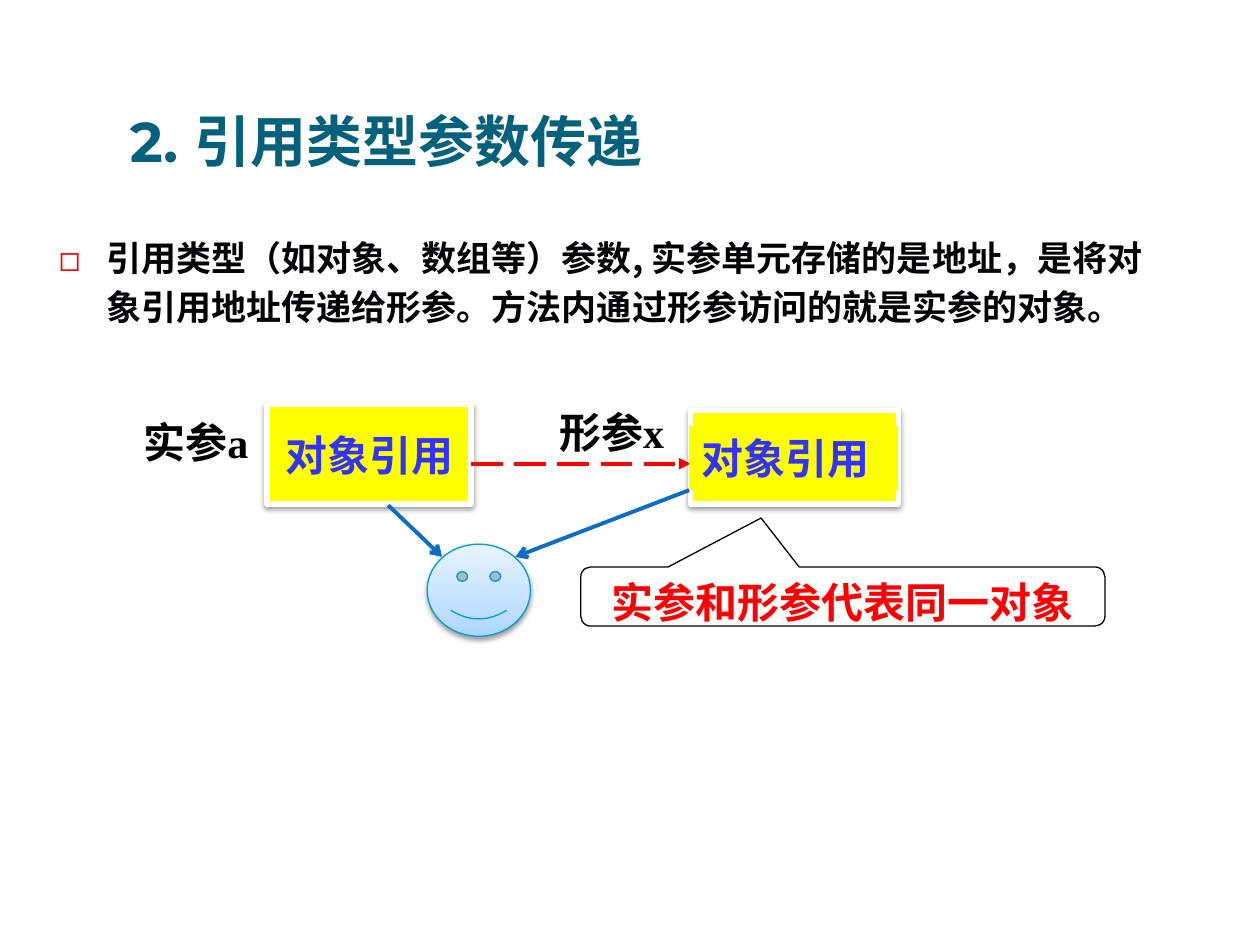
from copy import deepcopy

from lxml import etree
from pptx import Presentation
from pptx.dml.color import RGBColor
from pptx.enum.dml import MSO_LINE
from pptx.enum.shapes import MSO_CONNECTOR, MSO_SHAPE
from pptx.enum.text import MSO_ANCHOR, PP_ALIGN
from pptx.oxml.ns import qn
from pptx.util import Pt

RECT = MSO_SHAPE.RECTANGLE
CALLOUT = MSO_SHAPE.ROUNDED_RECTANGULAR_CALLOUT
SMILEY = MSO_SHAPE.SMILEY_FACE
STRAIGHT = MSO_CONNECTOR.STRAIGHT
LONG_DASH = MSO_LINE.LONG_DASH
TOP, MIDDLE, BOTTOM = MSO_ANCHOR.TOP, MSO_ANCHOR.MIDDLE, MSO_ANCHOR.BOTTOM
LEFT, CENTER = PP_ALIGN.LEFT, PP_ALIGN.CENTER
CJK = "Noto Sans CJK SC"
SERIF = "Times New Roman"
YELLOW, BLUE, RED, BLACK = "FFFF00", "3333FF", "FF0000", "000000"


def rgb(color):
    return RGBColor.from_string(color)


def sub(parent, tag, **attrs):
    return etree.SubElement(parent, qn(tag), attrs)


def write(s, text, color, size=24, font=SERIF, align=LEFT, anchor=TOP, wrap=True):
    tf = s.text_frame
    tf.word_wrap = wrap
    tf.vertical_anchor = anchor
    p = tf.paragraphs[0]
    p.text = text
    p.alignment = align
    p.font.name = font
    p.font.size = Pt(size)
    p.font.bold = True
    p.font.color.rgb = rgb(color)
    sub(p.font._element, "a:ea", typeface=CJK)
    return tf


def add_text(slide, box, text, color, **style):
    s = slide.shapes.add_textbox(*map(Pt, box))
    return write(s, text, color, **style)


def add_bullet(p, char, color, indent):
    pPr = p._p.get_or_add_pPr()
    pPr.set("marL", str(Pt(indent)))
    pPr.set("indent", str(-Pt(indent)))
    sub(sub(pPr, "a:buClr"), "a:srgbClr", val=color)
    sub(pPr, "a:buFont", typeface=CJK)
    sub(pPr, "a:buChar", char=char)


def add_body(slide, box, text):
    tf = slide.shapes.add_textbox(*map(Pt, box)).text_frame
    p = tf.paragraphs[0]
    p.line_spacing = Pt(28)
    add_bullet(p, "◻", RED, 27)
    write(tf._parent, text, "030305", size=20, font=CJK)


def add_shape(slide, kind, box, fill=None, line=None, width=0.75, shadow=False):
    s = slide.shapes.add_shape(kind, *map(Pt, box))
    s.shadow.inherit = False
    if fill:
        s.fill.solid()
        s.fill.fore_color.rgb = rgb(fill)
    else:
        s.fill.background()
    if line:
        s.line.color.rgb = rgb(line)
        s.line.width = Pt(width)
    else:
        s.line.fill.background()
    if shadow:
        effects = s._element.spPr.find(qn("a:effectLst"))
        outer = sub(effects, "a:outerShdw", blurRad=str(Pt(3.1)),
                    dist=str(Pt(1.6)), dir="5400000", rotWithShape="0")
        sub(sub(outer, "a:srgbClr", val=BLACK), "a:alpha", val="38000")
    return s


def fill_gradient(s, stops, angle):
    s.fill.gradient()
    s.fill.gradient_angle = angle
    gs_list = s._element.spPr.find(".//" + qn("a:gsLst"))
    while len(gs_list) < len(stops):
        gs_list.append(deepcopy(gs_list[-1]))
    for stop, (position, color) in zip(s.fill.gradient_stops, stops):
        stop.position = position
        stop.color.rgb = rgb(color)


def add_arrow(slide, start, end, color, head, dash=None):
    c = slide.shapes.add_connector(STRAIGHT, *map(Pt, start + end))
    c.line.color.rgb = rgb(color)
    c.line.width = Pt(2.25)
    if dash:
        c.line.dash_style = dash
    sub(c.line._get_or_add_ln(), "a:tailEnd", type=head)
    sub(c._element.spPr, "a:effectLst")


def main():
    prs = Presentation()
    prs.slide_width, prs.slide_height = Pt(720), Pt(540)
    slide = prs.slides.add_slide(prs.slide_layouts[6])

    tf = add_text(slide, (74.2, 54, 588, 45.4), "2. 引用类型参数传递", "04617B",
                  size=32, font="Montserrat", anchor=BOTTOM)
    tf.margin_left = tf.margin_right = tf.margin_bottom = 0
    add_body(slide, (26.6, 127.4, 636, 63.4),
             "引用类型（如对象、数组等）参数, 实参单元存储的是地址，是将"
             "对象引用地址传递给形参。方法内通过形参访问的就是实参的对象。")

    add_text(slide, (74.9, 234.7, 90.7, 36), "实参a", BLACK)
    s = add_shape(slide, RECT, (152.6, 231.1, 116.6, 56.9), YELLOW, "FFFFFF", 3, True)
    write(s, "对象引用", BLUE, font="Arial", align=CENTER, anchor=MIDDLE, wrap=False)

    add_text(slide, (312.5, 229, 90.7, 36), "形参x", BLACK)
    add_shape(slide, RECT, (394.6, 234.7, 118.8, 53.3), YELLOW, "FFFFFF", 3, True)
    add_arrow(slide, (269.3, 265), (394.6, 265), RED, "triangle", LONG_DASH)

    s = add_shape(slide, CALLOUT, (331.9, 324, 299.5, 33.8), line=BLACK)
    for i, value in enumerate((-0.156, -1.328, 0.167)):
        s.adjustments[i] = value
    write(s, "实参和形参代表同一对象", RED, align=CENTER)

    s = add_shape(slide, RECT, (393.8, 243.4, 119.5, 36.7), YELLOW)
    write(s, "对象引用", BLUE)

    s = add_shape(slide, SMILEY, (244.1, 311, 59, 52.6), line="009AD4", shadow=True)
    fill_gradient(s, ((0, "ABD6FF"), (0.35, "C3E1FF"), (1, "E8F3FF")), 90)
    add_arrow(slide, (221.8, 288.7), (252.7, 318.2), "0A6DC6", "arrow")
    add_arrow(slide, (393.8, 280.1), (294.5, 318.2), "0A6DC6", "arrow")

    prs.save("out.pptx")


if __name__ == "__main__":
    main()
